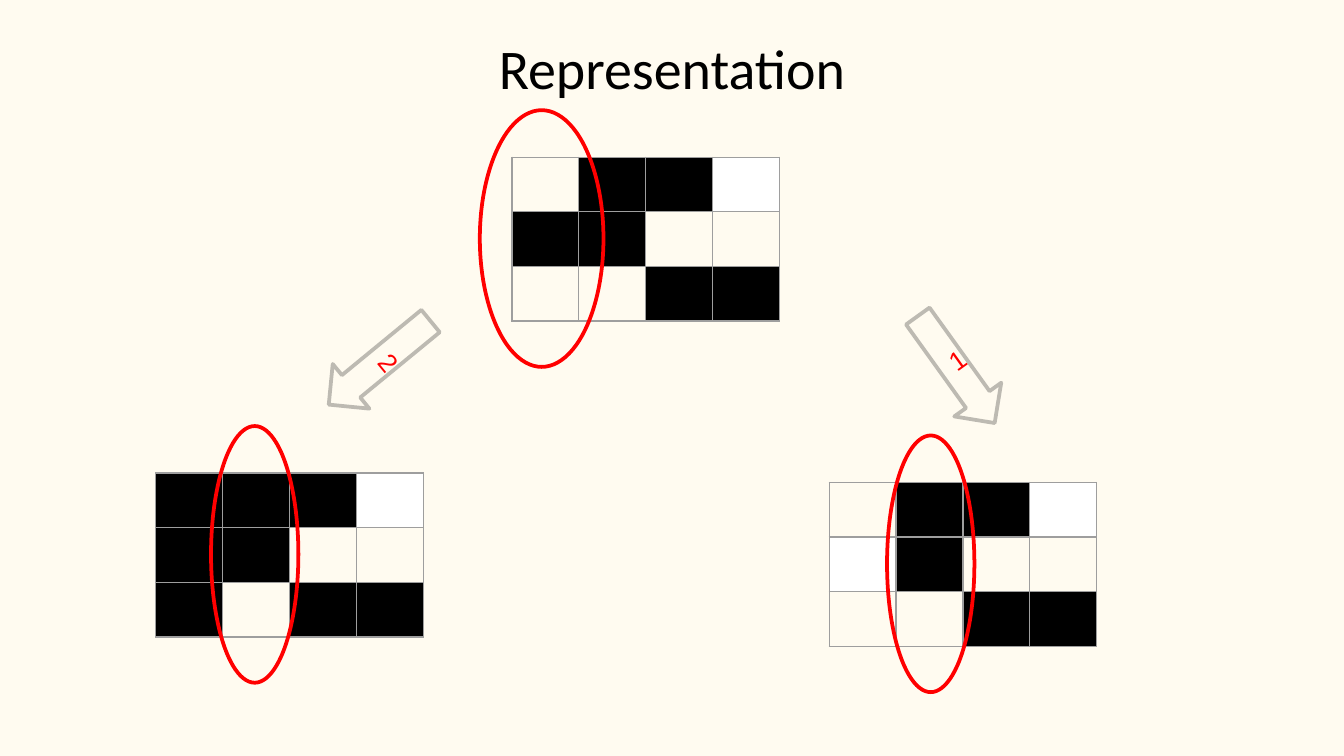
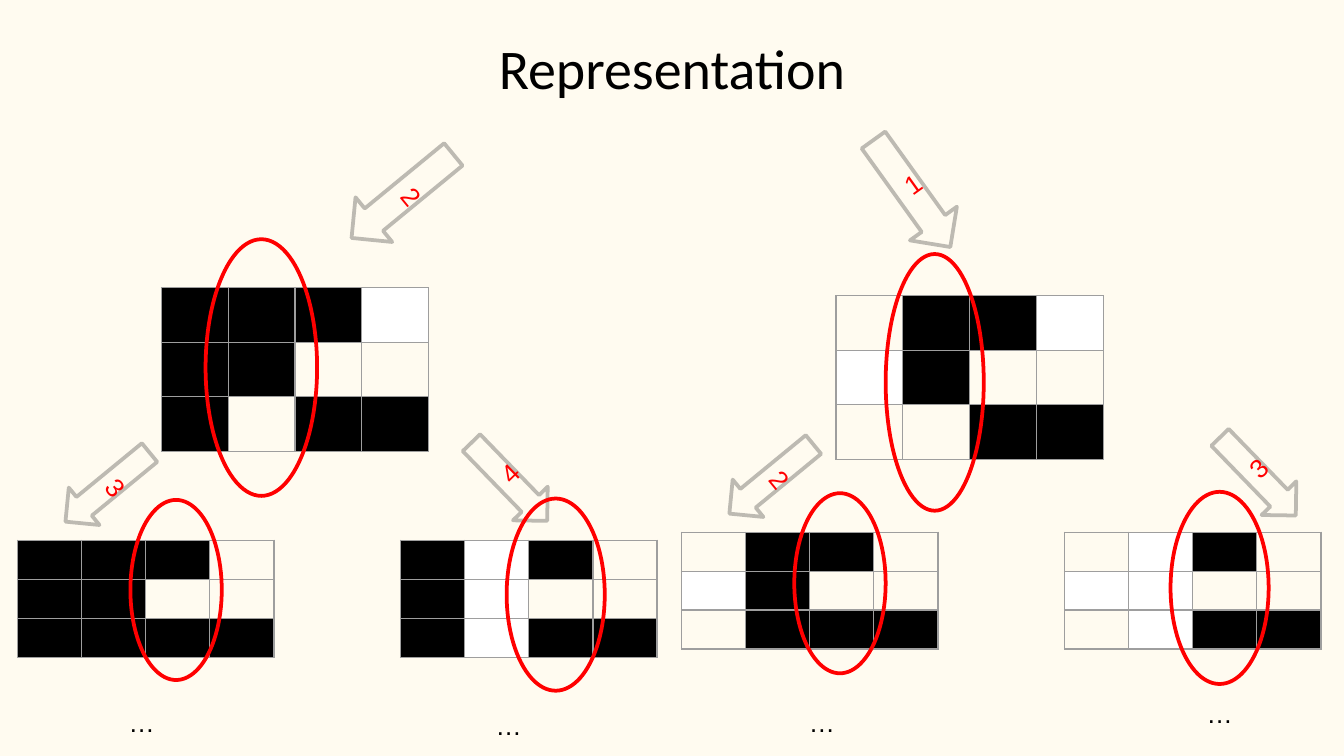
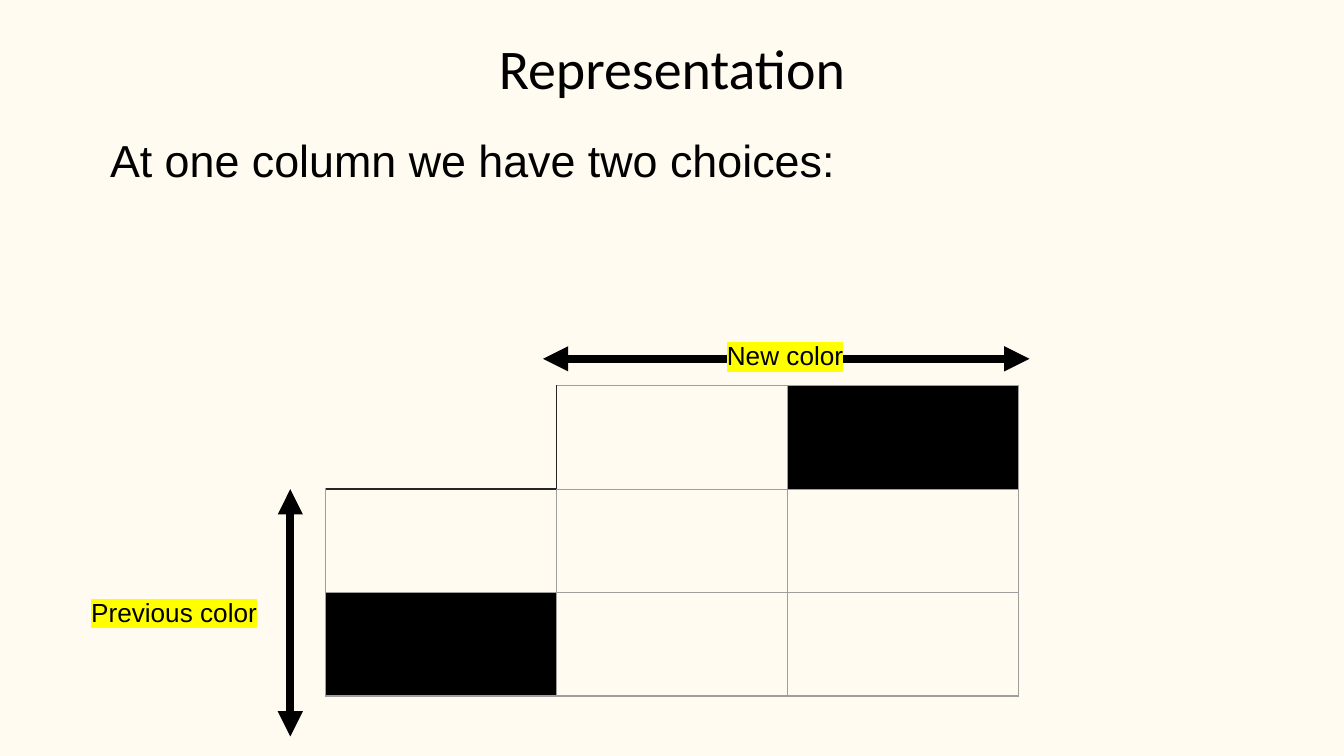
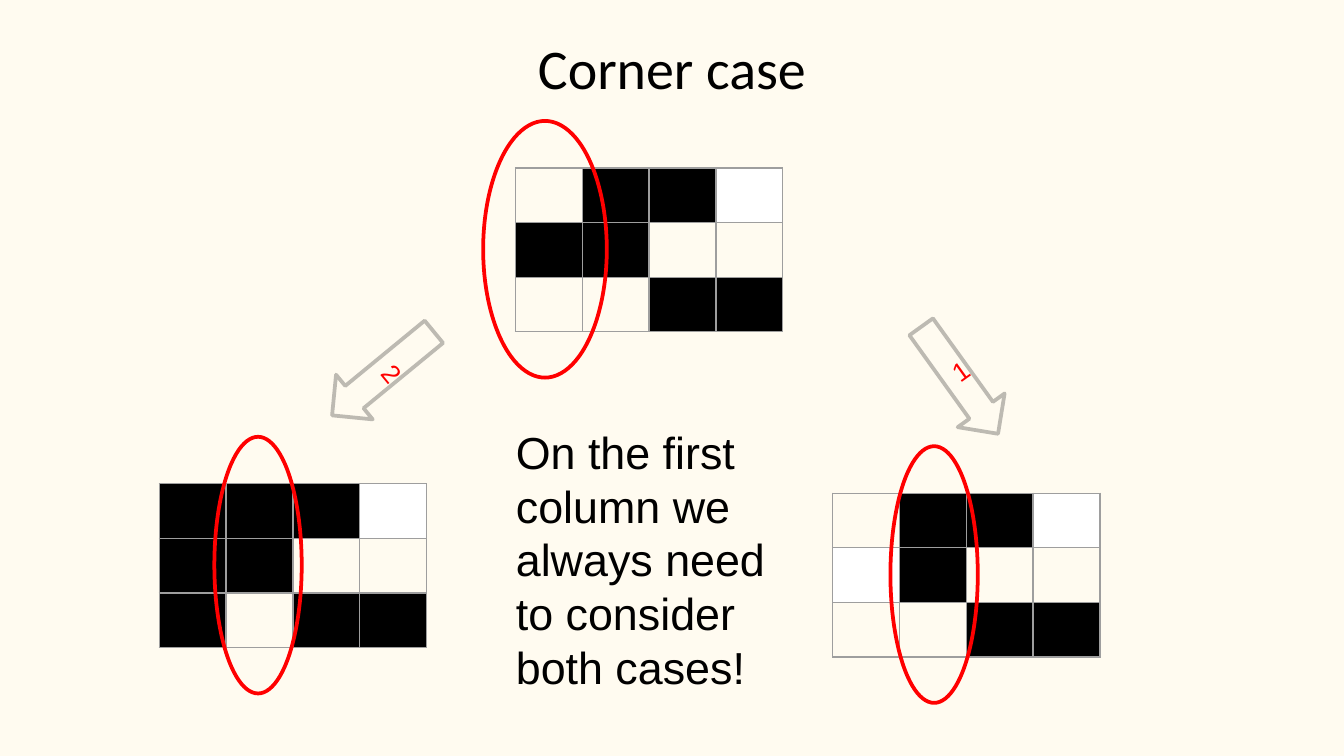
from dataclasses import dataclass
from typing import NamedTuple, Optional

from lxml.etree import SubElement
from pptx import Presentation
from pptx.dml.color import RGBColor
from pptx.enum.shapes import MSO_CONNECTOR as Connector, MSO_SHAPE as Preset
from pptx.enum.text import MSO_ANCHOR as Anchor, MSO_AUTO_SIZE as AutoSize, PP_ALIGN as Align
from pptx.oxml.ns import qn
from pptx.util import Inches, Pt

COLORS = {
    "paper": "FFFBF0",
    "ink": "000000",
    "white": "FFFFFF",
    "red": "FF0000",
    "arrow": "BDBAB2",
    "grid": "9E9E9E",
    "corner": "262626",
    "marker": "FFFF00",
}
SLIDE_WIDTH, SLIDE_HEIGHT = Inches(10), Inches(5.625)
COLUMN, ROW = SLIDE_WIDTH / 100, SLIDE_HEIGHT / 56.25

# Pixel patterns: # is black, o is white, . shows the paper.
START = (".##o", "##..", "..##")
DARK_FIRST = ("###o", "##..", "#.##")
LIGHT_FIRST = (".##o", "o#..", "..##")
THIRD_COLUMN_BOARDS = (
    ("###.", "##..", "####"),
    ("#o#.", "#o..", "#o##"),
    (".##.", "o#..", ".###"),
    (".o#.", "oo..", ".o##"),
)
PIXELS = {"#": "ink", "o": "white"}
SIDES = {"l": "a:lnL", "r": "a:lnR", "t": "a:lnT", "b": "a:lnB"}


class Edge(NamedTuple):
    color: Optional[str]
    points: float


GRID_EDGE = Edge("grid", 0.75)
CORNER_EDGE = Edge("corner", 1)
NO_EDGE = Edge(None, 0)


@dataclass(frozen=True)
class Box:
    """A place in grid columns and rows."""
    left: float
    top: float
    width: float
    height: float

    def moved(self, columns: float, rows: float) -> "Box":
        return Box(self.left + columns, self.top + rows, self.width, self.height)

    def emu(self) -> tuple:
        return (round(self.left * COLUMN), round(self.top * ROW),
                round(self.width * COLUMN), round(self.height * ROW))


@dataclass(frozen=True)
class Board:
    pixels: tuple
    box: Box


@dataclass(frozen=True)
class Choice:
    """An arrow with the cost of the choice it stands for."""
    cost: str
    box: Box
    angle: float


TITLE_BOX = Box(3.4, 1.5, 93.2, 6.7)
LEFTWARD, RIGHTWARD, STEEP = 50.6, 315.9, 324.3


def rgb(name: str) -> RGBColor:
    return RGBColor.from_string(COLORS[name])


def large_board(pixels: tuple, left: float, top: float) -> Board:
    return Board(pixels, Box(left, top, 19.9, 12.2))


def small_board(pixels: tuple, left: float, top: float) -> Board:
    return Board(pixels, Box(left, top, 19.1, 8.7))


def large_choice(cost: str, left: float, top: float, angle: float) -> Choice:
    return Choice(cost, Box(left, top, 4.3, 9.8), angle)


def small_choice(cost: str, left: float, top: float, angle: float) -> Choice:
    return Choice(cost, Box(left, top, 3.6, 8.1), angle)


def style(paragraph, size: float, font: str = "Arial", color: str = "ink") -> None:
    paragraph.font.size = Pt(size)
    paragraph.font.name = font
    paragraph.font.color.rgb = rgb(color)


def add_titled_slide(deck, heading: str):
    slide = deck.slides.add_slide(deck.slide_layouts[5])
    title = slide.shapes.title
    title.left, title.top, title.width, title.height = TITLE_BOX.emu()
    frame = title.text_frame
    frame.text = heading
    frame.auto_size = AutoSize.NONE
    frame.vertical_anchor = Anchor.TOP
    frame.margin_left = frame.margin_right = Inches(0.1)
    frame.margin_top = frame.margin_bottom = Inches(0.1)
    frame.paragraphs[0].alignment = Align.CENTER
    style(frame.paragraphs[0], 30, "Calibri")
    return slide


def add_text(slide, words: str, box: Box, size: float = 14,
             wrap: bool = False, marked: bool = False) -> None:
    frame = slide.shapes.add_textbox(*box.emu()).text_frame
    frame.word_wrap = wrap
    frame.auto_size = AutoSize.SHAPE_TO_FIT_TEXT
    paragraph = frame.paragraphs[0]
    run = paragraph.add_run()
    run.text = words
    style(paragraph, size)
    if marked:
        highlight = SubElement(run._r.get_or_add_rPr(), qn("a:highlight"))
        SubElement(highlight, qn("a:srgbClr"), val=COLORS["marker"])


def set_edges(cell, edges: dict) -> None:
    """Draw all four sides, taking the usual grid line where edges has none."""
    properties = cell._tc.get_or_add_tcPr()
    for side, tag in SIDES.items():
        edge = edges.get(side, GRID_EDGE)
        line = SubElement(properties, qn(tag), w=str(Pt(edge.points)))
        if edge.color is None:
            SubElement(line, qn("a:noFill"))
        else:
            fill = SubElement(line, qn("a:solidFill"))
            SubElement(fill, qn("a:srgbClr"), val=COLORS[edge.color])


def add_board(slide, board: Board, special_edges: Optional[dict] = None) -> None:
    """Draw a pixel table; special_edges maps (row, column) to its own sides."""
    table = slide.shapes.add_table(
        len(board.pixels), len(board.pixels[0]), *board.box.emu()).table
    table.first_row = table.horz_banding = False
    for r, line in enumerate(board.pixels):
        for c, pixel in enumerate(line):
            cell = table.cell(r, c)
            cell.margin_top = cell.margin_bottom = 0
            SubElement(cell.text_frame.paragraphs[0]._p, qn("a:endParaRPr"), sz="800")
            set_edges(cell, (special_edges or {}).get((r, c), {}))
            if pixel in PIXELS:
                cell.fill.solid()
                cell.fill.fore_color.rgb = rgb(PIXELS[pixel])
            else:
                cell.fill.background()


def add_outlined(slide, preset, box: Box, color: str):
    shape = slide.shapes.add_shape(preset, *box.emu())
    shape.shadow.inherit = False
    shape.fill.background()
    shape.line.color.rgb = rgb(color)
    shape.line.width = Pt(2)
    return shape


def add_choice(slide, choice: Choice) -> None:
    arrow = add_outlined(slide, Preset.DOWN_ARROW, choice.box, "arrow")
    arrow.rotation = choice.angle
    arrow.fill.solid()
    arrow.fill.fore_color.rgb = rgb("paper")
    frame = arrow.text_frame
    frame.text = choice.cost
    frame.vertical_anchor = Anchor.MIDDLE
    frame.paragraphs[0].alignment = Align.CENTER
    style(frame.paragraphs[0], 14, color="red")


def add_double_arrow(slide, start: tuple, end: tuple) -> None:
    ends = [round(n * unit) for point in (start, end)
            for n, unit in zip(point, (COLUMN, ROW))]
    arrow = slide.shapes.add_connector(Connector.STRAIGHT, *ends)
    arrow.line.color.rgb = rgb("ink")
    arrow.line.width = Pt(4.5)
    outline = arrow.line._get_or_add_ln()
    for tag in ("a:headEnd", "a:tailEnd"):
        SubElement(outline, qn(tag), type="triangle")
    SubElement(arrow._element.spPr, qn("a:effectLst"))


def draw_tree(slide, boards: list, choices: list, current_columns: list) -> None:
    for board in boards:
        add_board(slide, board)
    for choice in choices:
        add_choice(slide, choice)
    for ring in current_columns:
        add_outlined(slide, Preset.OVAL, ring, "red")


def draw_first_split(slide, across: float = 0, down: float = 0) -> None:
    """Show both choices for the first column, shifted by grid units."""
    boards = [
        large_board(START, 38.1, 11.7),
        large_board(LIGHT_FIRST, 61.7, 35.9),
        large_board(DARK_FIRST, 11.6, 35.2),
    ]
    choices = [
        large_choice("1", 69, 22.6, STEEP),
        large_choice("2", 26.1, 22.1, LEFTWARD),
    ]
    rings = [Box(35.7, 8.2, 9.2, 19.1), Box(66, 32.4, 6.5, 19.1), Box(15.7, 31.7, 6.5, 19.1)]
    draw_tree(
        slide,
        [Board(b.pixels, b.box.moved(across, down)) for b in boards],
        [Choice(c.cost, c.box.moved(across, down), c.angle) for c in choices],
        [ring.moved(across, down) for ring in rings],
    )


def draw_second_split(slide) -> None:
    places = ((1.3, 40.2), (29.8, 40.2), (50.7, 39.6), (79.2, 39.6))
    boards = [
        large_board(LIGHT_FIRST, 62.2, 22),
        large_board(DARK_FIRST, 12, 21.4),
        *(small_board(pixels, *place) for pixels, place in zip(THIRD_COLUMN_BOARDS, places)),
    ]
    choices = [
        large_choice("1", 65.7, 9.5, STEEP),
        large_choice("2", 27.8, 9.7, LEFTWARD),
        small_choice("3", 6.2, 32.2, LEFTWARD),
        small_choice("4", 36.1, 31.8, RIGHTWARD),
        small_choice("2", 55.6, 31.6, LEFTWARD),
        small_choice("3", 91.8, 31.4, RIGHTWARD),
    ]
    rings = [
        Box(65.9, 18.9, 7.3, 19.1),
        Box(15.3, 17.8, 8.3, 19.1),
        Box(9.7, 37.2, 6.8, 13.4),
        Box(37.7, 37.1, 7.3, 14.3),
        Box(59.1, 36.7, 6.8, 13.4),
        Box(87.1, 36.6, 7.3, 14.3),
    ]
    draw_tree(slide, boards, choices, rings)
    for left, top in ((8.6, 52.1), (35.9, 52.3), (59.2, 52.1), (88.8, 51.4)):
        add_text(slide, "…", Box(left, top, 4, 3.4))


def draw_color_choices(slide) -> None:
    add_text(slide, "At one column we have two choices:", Box(7.2, 9.4, 87.5, 5), 24, wrap=True)
    add_board(
        slide,
        Board(("..#", "...", "#.."), Box(24.2, 28.7, 51.6, 23.1)),
        {
            (0, 0): {"l": NO_EDGE, "t": NO_EDGE, "r": CORNER_EDGE, "b": CORNER_EDGE},
            (0, 1): {"l": CORNER_EDGE},
            (1, 0): {"t": CORNER_EDGE},
        },
    )
    add_double_arrow(slide, (21.6, 36.4), (21.6, 54.8))
    add_double_arrow(slide, (76.6, 26.7), (40.4, 26.7))
    add_text(slide, "New color", Box(53.1, 24.8, 10.7, 3.4), marked=True)
    add_text(slide, "Previous color", Box(5.8, 43.9, 14.4, 3.4), marked=True)


def main() -> None:
    deck = Presentation()
    deck.slide_width, deck.slide_height = SLIDE_WIDTH, SLIDE_HEIGHT
    backdrop = deck.slide_master.background.fill
    backdrop.solid()
    backdrop.fore_color.rgb = rgb("paper")

    draw_first_split(add_titled_slide(deck, "Representation"))
    draw_second_split(add_titled_slide(deck, "Representation"))
    draw_color_choices(add_titled_slide(deck, "Representation"))

    corner_case = add_titled_slide(deck, "Corner case")
    draw_first_split(corner_case, 0.25, 0.8)
    add_text(corner_case, "On the first column we always need to consider both cases!",
             Box(37.4, 31.1, 22.5, 21.2), 24, wrap=True)

    deck.save("out.pptx")


if __name__ == "__main__":
    main()
